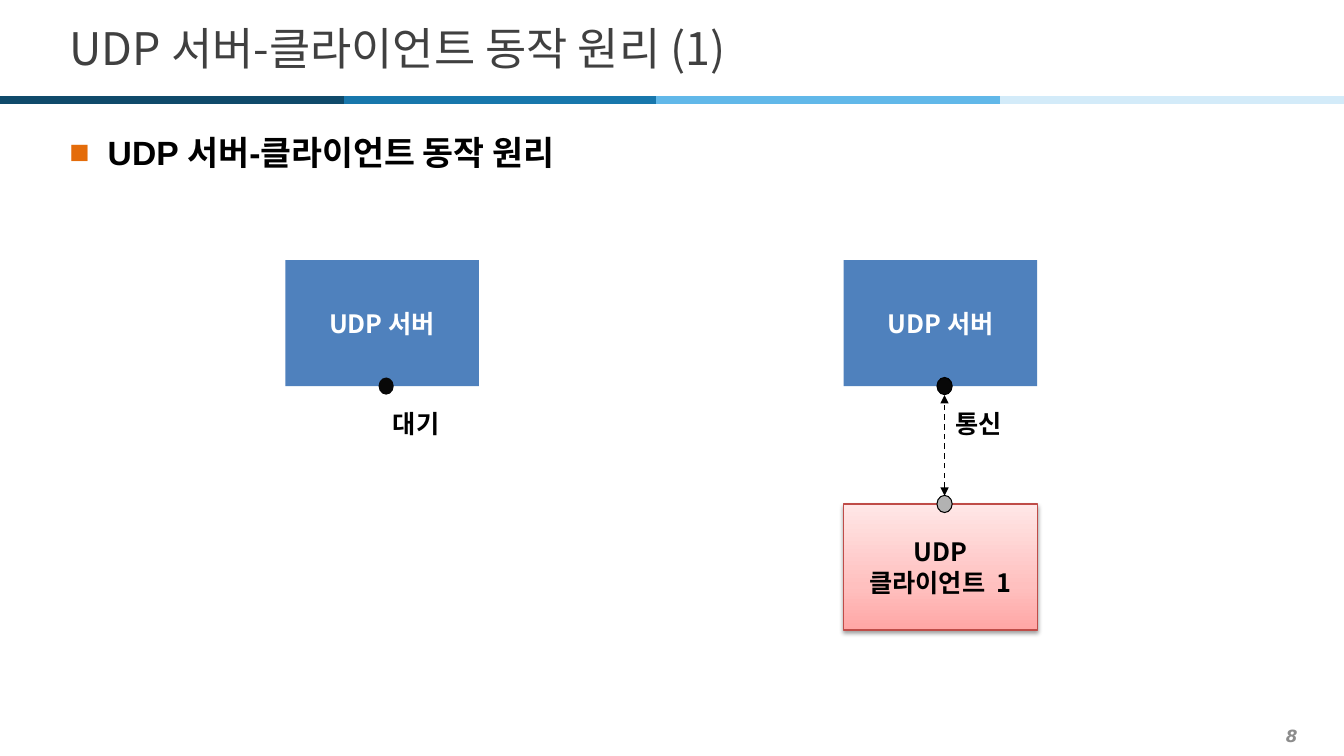
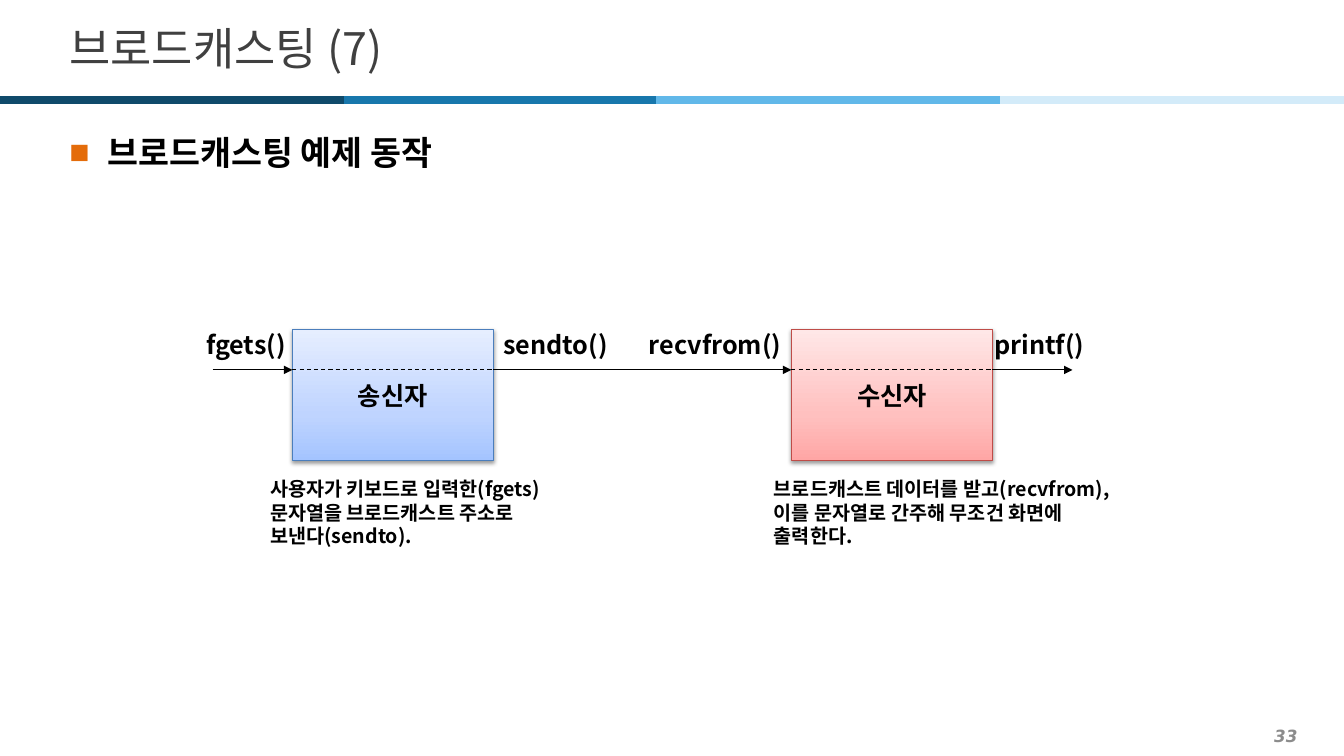
from copy import deepcopy
from dataclasses import dataclass
from itertools import pairwise

from pptx import Presentation, util as u
from pptx.dml.color import RGBColor
from pptx.enum import dml, shapes, text
from pptx.oxml import ns, parse_xml

# Lengths are percentages of the slide's width and height.
WIDE, HIGH = u.Inches(13.33), u.Inches(7.5)


@dataclass(frozen=True)
class Theme:
    sans: str = "Noto Sans CJK KR"
    head: str = "Arial"
    foot: str = "DejaVu Sans"
    black: str = "000000"
    white: str = "FFFFFF"
    title: str = "404040"
    page: str = "8C8C8C"
    mark: str = "E46C0A"
    steel: str = "4F81BD"
    ink: str = "080808"
    gray: str = "B2B2B2"
    bands: tuple = ("0F4A6B", "1877AC", "61B8E9", "D3EBF9")
    red: tuple = ("FFA6A5", "FFC0BF", "FFE7E7")
    redline: str = "BF4C48"
    blue: tuple = ("A4C4FF", "BFD4FF", "E6EEFF")
    blueline: str = "4B7EBC"
    big: int = 32
    mid: int = 24
    body: int = 18
    note: int = 14
    small: int = 12


T = Theme()
LEFT, MID, RIGHT = text.PP_ALIGN.LEFT, text.PP_ALIGN.CENTER, text.PP_ALIGN.RIGHT


def across(x):
    return round(WIDE * x / 100)


def down(y):
    return round(HIGH * y / 100)


def place(x, y, w, h):
    return across(x), down(y), across(w), down(h)


def tint(hue):
    return RGBColor.from_string(hue)


def node(tag, inner="", **attrs):
    pairs = " ".join(f'{key}="{val}"' for key, val in attrs.items())
    return parse_xml(f"<a:{tag} {ns.nsdecls('a')} {pairs}>{inner}</a:{tag}>")


def write(shape, words, size=T.body, hue=T.black, font=T.sans, bold=True,
          slant=False, align=LEFT, wrap=False):
    frame = shape.text_frame
    frame.text = words
    frame.word_wrap = wrap
    frame.vertical_anchor = text.MSO_ANCHOR.MIDDLE
    for para in frame.paragraphs:
        para.alignment = align
        for run in para.runs:
            face = run.font
            face.name, face.size = font, u.Pt(size)
            face.bold, face.italic = bold, slant
            face.color.rgb = tint(hue)
            run._r.rPr.append(node("ea", typeface=T.sans))


def label(slide, area, words, **style):
    field = slide.shapes.add_textbox(*place(*area))
    write(field, words, **style)
    return field


def edge(shape, hue):
    if hue:
        shape.line.color.rgb = tint(hue)
        shape.line.width = u.Pt(0.75)
    else:
        shape.line.fill.background()


def shade(shape, hues):
    """Fill from the bottom up with three hues."""
    shape.fill.gradient()
    shape.fill.gradient_angle = 90
    first = shape.fill.gradient_stops[0]._gs
    first.addnext(deepcopy(first))
    for stop, spot, hue in zip(shape.fill.gradient_stops, (0, 0.35, 1), hues):
        stop.position = spot
        stop.color.rgb = tint(hue)


def cast(shape):
    """Add a soft shadow below the shape."""
    black = f'<a:srgbClr val="{T.black}"><a:alpha val="38000"/></a:srgbClr>'
    glow = node("outerShdw", black, blurRad=u.Pt(3.1), dist=u.Pt(1.6),
                dir=5400000, rotWithShape=0)
    shape._element.spPr.find(ns.qn("a:effectLst")).append(glow)


def box(slide, area, words, fill, line=None, hue=T.black):
    """Draw a captioned block: flat for one hue, shaded for several."""
    block = slide.shapes.add_shape(shapes.MSO_SHAPE.RECTANGLE, *place(*area))
    block.shadow.inherit = False
    edge(block, line)
    if isinstance(fill, tuple):
        shade(block, fill)
        cast(block)
    else:
        block.fill.solid()
        block.fill.fore_color.rgb = tint(fill)
    write(block, words, hue=hue, align=MID)


def dot(slide, x, y, fill, line=None):
    """Draw a port centred on x, y."""
    w, h = 1.13, 2.27
    port = slide.shapes.add_shape(shapes.MSO_SHAPE.OVAL,
                                  *place(x - w / 2, y - h / 2, w, h))
    port.shadow.inherit = False
    port.fill.solid()
    port.fill.fore_color.rgb = tint(fill)
    edge(port, line)


def wire(slide, start, end, hue=T.black, width=0.75, dash=False, tips=()):
    link = slide.shapes.add_connector(
        shapes.MSO_CONNECTOR.STRAIGHT, across(start[0]), down(start[1]),
        across(end[0]), down(end[1]))
    link.line.color.rgb = tint(hue)
    link.line.width = u.Pt(width)
    if dash:
        link.line.dash_style = dml.MSO_LINE.DASH
    for tip in tips:
        link.line._get_or_add_ln().append(node(tip, type="triangle"))
    link._element.spPr.append(node("effectLst"))


def page(deck, title, topic, number):
    """Add a slide with the shared bands, title, bullet and page number."""
    slide = deck.slides.add_slide(deck.slide_layouts[6])
    label(slide, (1.5, 95.2, 95.78, 4.13), str(number), size=T.small,
          hue=T.page, font=T.foot, slant=True, align=RIGHT, wrap=True)
    span, count = 25.58, len(T.bands)
    for i, hue in reversed(list(enumerate(T.bands))):
        x = max(0, 100 - span * (count - i))
        wire(slide, (x, 13.2), (x + span, 13.2), hue, 6)
    label(slide, (4.43, 1.73, 91.6, 9.07), title, size=T.big, hue=T.title,
          bold=False, wrap=True)
    field = label(slide, (4.43, 15.73, 91.6, 80.4), topic, size=T.mid,
                  font=T.head, wrap=True)
    field.text_frame.vertical_anchor = text.MSO_ANCHOR.TOP
    para = field.text_frame.paragraphs[0]
    para.line_spacing, para.space_after = 1.2, u.Pt(2)
    props = para._p.get_or_add_pPr()
    props.set("marL", str(u.Inches(0.38)))
    props.set("indent", str(-u.Inches(0.38)))
    props.append(node("buClr", f'<a:srgbClr val="{T.mark}"/>'))
    props.append(node("buFont", typeface=T.head))
    props.append(node("buChar", char="■"))
    return slide


def server(deck):
    topic = "UDP 서버-클라이언트 동작 원리"
    slide = page(deck, f"{topic} (1)", topic, 8)
    wide, high, top, low = 14.4, 16.67, 34.4, 66.67
    base = top + high
    left, right = 21.23, 62.78
    shift = wide / 2 + 0.3
    for x, line in ((left, None), (right, T.black)):
        box(slide, (x, top, wide, high), "UDP 서버", T.steel, hue=T.white)
        dot(slide, x + shift, base, T.ink, line)
    box(slide, (right, low, wide, high), "UDP\n클라이언트  1", T.red, T.redline)
    port = right + shift
    dot(slide, port, low, T.gray, T.black)
    wire(slide, (port, low - 1.1), (port, base + 1.2), width=1, dash=True,
         tips=("headEnd", "tailEnd"))
    for x, words in ((28.5, "대기"), (70.35, "통신")):
        label(slide, (x, 54.4, 12.68, 3.33), words)


def relay(deck):
    slide = page(deck, "브로드캐스팅 (7)", "브로드캐스팅 예제 동작", 33)
    wide, flow = 14.95, 48.93
    send, take = 21.75, 58.88
    for x, words, fill, line in ((send, "송신자", T.blue, T.blueline),
                                 (take, "수신자", T.red, T.redline)):
        box(slide, (x, 43.6, wide, 17.33), words, fill, line)
    stops = (15.83, send, send + wide, take, take + wide, 79.8)
    for i, (a, b) in enumerate(pairwise(stops)):
        inside = i % 2 == 1
        wire(slide, (a, flow), (b, flow), dash=inside,
             tips=() if inside else ("tailEnd",))
    room = 13
    for x, words, align in ((18.3 - room / 2, "fgets()", MID),
                            (send + wide, "sendto()", LEFT),
                            (take - room, "recvfrom()", RIGHT),
                            (77.33 - room / 2, "printf()", MID)):
        label(slide, (x, 42.27, room, 6.67), words, align=align)
    notes = (
        (19.35, 22.58, "사용자가 키보드로 입력한(fgets)\n"
                       "문자열을 브로드캐스트 주소로\n보낸다(sendto)."),
        (56.85, 26.93, "브로드캐스트 데이터를 받고(recvfrom),\n"
                       "이를 문자열로 간주해 무조건 화면에\n출력한다."),
    )
    for x, w, words in notes:
        label(slide, (x, 63.33, w, 8.93), words, size=T.note)


def main():
    deck = Presentation()
    deck.slide_width, deck.slide_height = WIDE, HIGH
    server(deck)
    relay(deck)
    deck.save("out.pptx")


if __name__ == "__main__":
    main()
